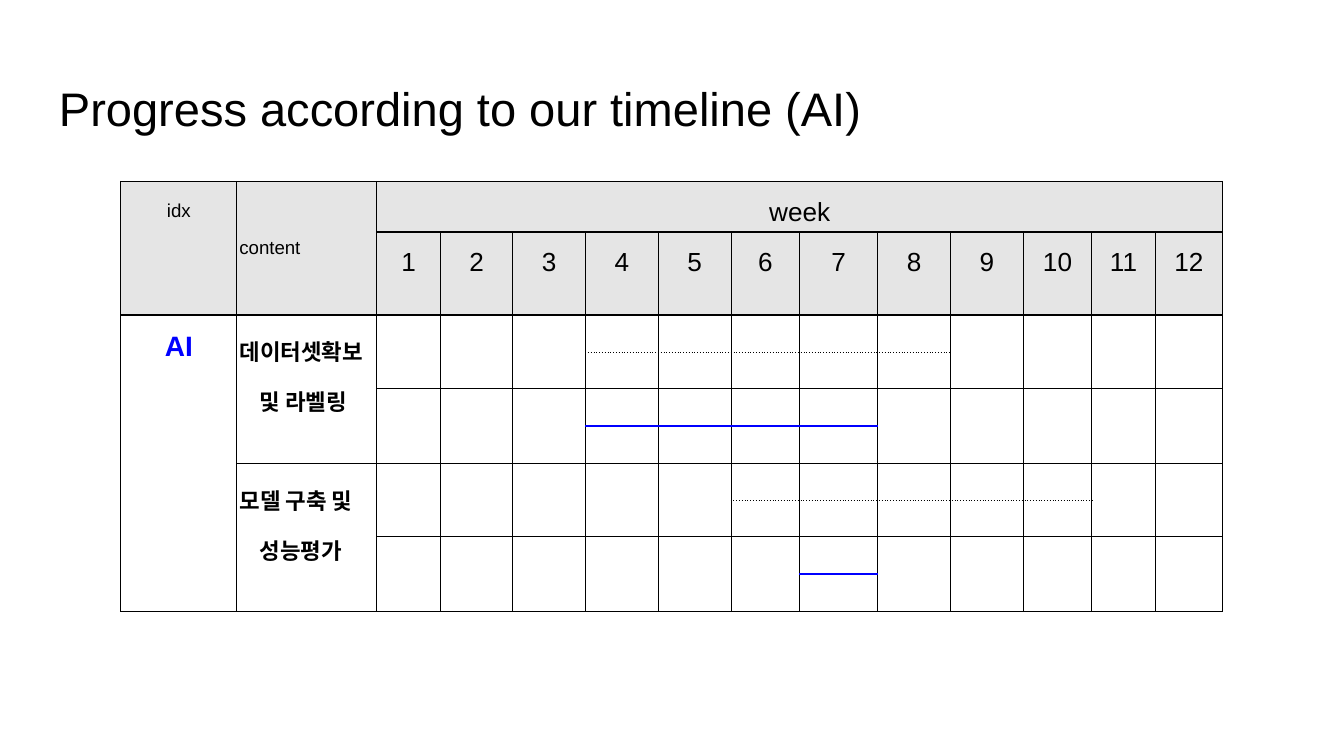
from dataclasses import dataclass

from lxml import etree
from pptx import Presentation
from pptx.dml.color import RGBColor
from pptx.enum.text import PP_ALIGN
from pptx.oxml.ns import qn
from pptx.util import Inches, Pt

LEFT = PP_ALIGN.LEFT
CENTER = PP_ALIGN.CENTER
JUSTIFY = PP_ALIGN.JUSTIFY


@dataclass(frozen=True)
class Theme:
    font: str = "Arial"
    black: str = "000000"
    blue: str = "0000FF"
    header_fill: str = "E5E5E5"
    title_size: float = 25.2
    week_size: float = 14
    label_size: float = 10
    group_size: float = 15
    task_size: float = 12
    thin: float = 0.6
    heavy: float = 1.2


THEME = Theme()
THIN = (THEME.black, THEME.thin, "solid")
HEAVY = (THEME.black, THEME.heavy, "solid")
PLANNED = (THEME.black, THEME.thin, "sysDot")
ACTUAL = (THEME.blue, THEME.heavy, "solid")

SLIDE_WIDTH = 10
SLIDE_HEIGHT = SLIDE_WIDTH * 9 / 16
TABLE_WIDTH = 8.2
COLUMN_WIDTHS = [0.86, 1.04, 0.47, 0.54, 0.54, 0.54, 0.54,
                 0.51, 0.58, 0.54, 0.54, 0.51, 0.47, 0.5]
ROW_HEIGHTS = [0.32, 0.36, 0.28, 0.27, 0.28, 0.28, 0.27, 0.27, 0.28, 0.28]
HEADER_ROWS = 2
WEEKS = range(1, 13)
TASKS = ["데이터셋확보 및 라벨링", "모델 구축 및 성능평가"]
BARS = [(4, 8, PLANNED), (4, 7, ACTUAL), (6, 10, PLANNED), (7, 7, ACTUAL)]


def week_column(week):
    return week + 1


def style_paragraph(paragraph, size, color=THEME.black, bold=False):
    paragraph.font.name = THEME.font
    paragraph.font.size = Pt(size)
    paragraph.font.bold = bold
    paragraph.font.color.rgb = RGBColor.from_string(color)


def write_cell(cell, text, size, spacing, align=CENTER, color=THEME.black, bold=False):
    paragraph = cell.text_frame.paragraphs[0]
    paragraph.text = text
    paragraph.alignment = align
    paragraph.line_spacing = spacing
    style_paragraph(paragraph, size, color, bold)
    return paragraph


def add_title(slide, text):
    box = slide.shapes.add_textbox(Inches(0.34), Inches(0.49), Inches(9.32), Inches(0.63))
    frame = box.text_frame
    frame.word_wrap = True
    frame.margin_left = frame.margin_right = Inches(0.1)
    frame.margin_top = frame.margin_bottom = Inches(0.1)
    frame.text = text
    style_paragraph(frame.paragraphs[0], THEME.title_size)


def set_border(cell, side, line):
    color, width, dash = line
    properties = cell._tc.get_or_add_tcPr()
    border = etree.SubElement(properties, qn(f"a:ln{side}"), w=str(Pt(width)))
    fill = etree.SubElement(border, qn("a:solidFill"))
    etree.SubElement(fill, qn("a:srgbClr"), val=color)
    etree.SubElement(border, qn("a:prstDash"), val=dash)


def horizontal_line(boundary, column):
    if boundary in (1, HEADER_ROWS):
        return HEAVY
    track, half = divmod(boundary - HEADER_ROWS, 2)
    if half and 0 <= track < len(BARS):
        first, last, line = BARS[track]
        if week_column(first) <= column <= week_column(last):
            return line
    return THIN


def format_cell(cell, row, column):
    cell.margin_left = cell.margin_right = Inches(0.02)
    cell.margin_top = cell.margin_bottom = Inches(0.02)
    set_border(cell, "L", THIN)
    set_border(cell, "R", THIN)
    set_border(cell, "T", horizontal_line(row, column))
    set_border(cell, "B", horizontal_line(row + 1, column))
    if row < HEADER_ROWS:
        cell.fill.solid()
        cell.fill.fore_color.rgb = RGBColor.from_string(THEME.header_fill)
    else:
        cell.fill.background()
    style_paragraph(cell.text_frame.paragraphs[0], THEME.label_size)


def add_timeline_table(slide):
    frame = slide.shapes.add_table(
        len(ROW_HEIGHTS), len(COLUMN_WIDTHS), Inches(0.9), Inches(1.35),
        Inches(TABLE_WIDTH), Inches(sum(ROW_HEIGHTS)))
    table = frame.table
    table.first_row = False
    table.horz_banding = False
    scale = TABLE_WIDTH / sum(COLUMN_WIDTHS)
    for column, width in zip(table.columns, COLUMN_WIDTHS):
        column.width = Inches(width * scale)
    for row, height in zip(table.rows, ROW_HEIGHTS):
        row.height = Inches(height)
    for row in range(len(ROW_HEIGHTS)):
        for column in range(len(COLUMN_WIDTHS)):
            format_cell(table.cell(row, column), row, column)
    return table


def fill_header(table):
    for column in (0, 1):
        table.cell(0, column).merge(table.cell(1, column))
    table.cell(0, week_column(1)).merge(table.cell(0, week_column(12)))
    write_cell(table.cell(0, 0), "idx", THEME.label_size, 1.82)
    content = table.cell(0, 1)
    content.margin_top = Inches(0.29)
    write_cell(content, "content", THEME.label_size, 1.82, JUSTIFY)
    write_cell(table.cell(0, week_column(1)), "week", THEME.week_size, 1.45)
    for week in WEEKS:
        write_cell(table.cell(1, week_column(week)), str(week), THEME.week_size, 1.45)


def fill_tasks(table):
    group = table.cell(HEADER_ROWS, 0)
    group.merge(table.cell(len(ROW_HEIGHTS) - 1, 0))
    write_cell(group, "AI", THEME.group_size, 1.45, color=THEME.blue, bold=True)
    for index, task in enumerate(TASKS):
        row = HEADER_ROWS + 4 * index
        cell = table.cell(row, 1)
        cell.merge(table.cell(row + 3, 1))
        paragraph = write_cell(cell, task, THEME.task_size, 1.53, LEFT, bold=True)
        properties = paragraph._p.get_or_add_pPr()
        properties.set("marL", str(Inches(0.15)))
        properties.set("indent", str(Inches(-0.15)))


def merge_idle_weeks(table):
    for track, (first, last, _) in enumerate(BARS):
        row = HEADER_ROWS + 2 * track
        for week in WEEKS:
            if not first <= week <= last:
                column = week_column(week)
                table.cell(row, column).merge(table.cell(row + 1, column))


def main():
    presentation = Presentation()
    presentation.slide_width = Inches(SLIDE_WIDTH)
    presentation.slide_height = Inches(SLIDE_HEIGHT)
    slide = presentation.slides.add_slide(presentation.slide_layouts[6])
    add_title(slide, "Progress according to our timeline (AI)")
    table = add_timeline_table(slide)
    fill_header(table)
    fill_tasks(table)
    merge_idle_weeks(table)
    presentation.save("out.pptx")


if __name__ == "__main__":
    main()
